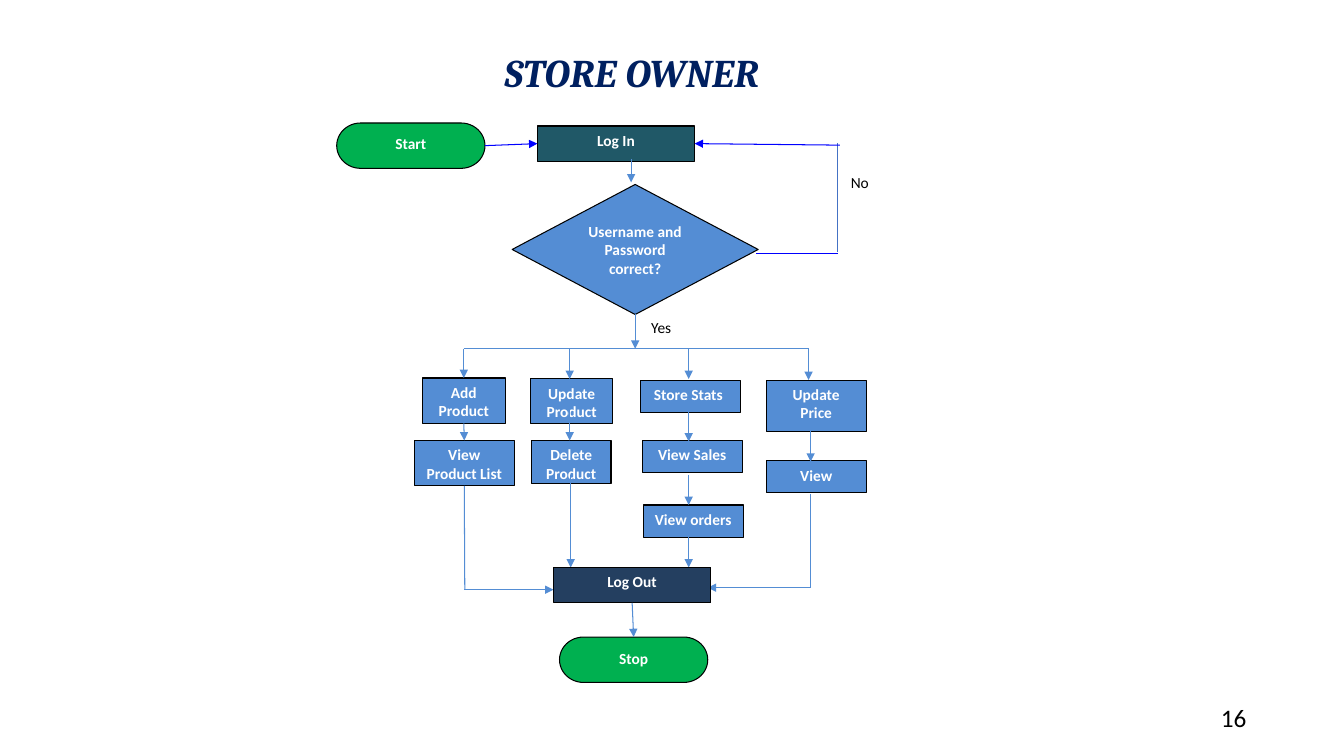
"""Builds the store owner flowchart slide."""
import pptx
import pptx.dml.color
import pptx.enum.shapes
import pptx.enum.text
import pptx.oxml.ns
import pptx.util
from lxml import etree

RGBColor = pptx.dml.color.RGBColor
Shape = pptx.enum.shapes.MSO_SHAPE
Align = pptx.enum.text.PP_ALIGN

BLUE = RGBColor(0x54, 0x8D, 0xD4)
LINK_BLUE = RGBColor(0x00, 0x00, 0xFF)
SIDE_BLUE = RGBColor(0x44, 0x72, 0xC4)
GREEN = RGBColor(0x00, 0xB0, 0x50)
TEAL = RGBColor(0x20, 0x58, 0x67)
NAVY = RGBColor(0x24, 0x3F, 0x60)
TITLE_NAVY = RGBColor(0x00, 0x20, 0x60)
BLACK = RGBColor(0, 0, 0)
WHITE = RGBColor(0xFF, 0xFF, 0xFF)

EMU_PER_PX = 9144
TOP, LEFT, BOTTOM, RIGHT = range(4)
BRANCH_Y = 346

STEPS = [
    ("Start", Shape.FLOWCHART_TERMINATOR, (334, 122, 147, 45), GREEN),
    ("Log In", Shape.FLOWCHART_PROCESS, (533, 125, 156, 35), TEAL),
    ("Username and Password correct?", Shape.DIAMOND, (508, 183, 244, 129), BLUE),
    ("Add Product", Shape.RECTANGLE, (419, 375, 82, 45), BLUE),
    ("View Product List", Shape.RECTANGLE, (411, 437, 99, 45), BLUE),
    ("Update Product", Shape.RECTANGLE, (526, 376, 82, 44), BLUE),
    ("Delete Product", Shape.RECTANGLE, (527, 437, 79, 43), BLUE),
    ("Store Stats ", Shape.RECTANGLE, (635, 377, 99, 32), BLUE),
    ("View Sales", Shape.RECTANGLE, (637, 437, 99, 32), BLUE),
    ("View orders", Shape.RECTANGLE, (638, 501, 99, 32), BLUE),
    ("Update Price", Shape.RECTANGLE, (760, 377, 99, 51), BLUE),
    ("View", Shape.RECTANGLE, (760, 457, 99, 32), BLUE),
    ("Stop", Shape.FLOWCHART_TERMINATOR, (555, 632, 147, 45), GREEN),
]
LOG_OUT = ("Log Out", Shape.FLOWCHART_PROCESS, (549, 563, 156, 35), NAVY)
LABELS = [("Yes", (636, 311, 45, 32)), ("No", (834, 167, 47, 41))]

FREE_ARROWS = [
    (565, BRANCH_Y, 565, 376), (683, BRANCH_Y, 683, 376), (802, BRANCH_Y, 802, 377),
    (565, 407, 565, 437), (683, 408, 683, 438), (683, 471, 683, 501),
    (804, 428, 804, 458), (460, 585, 549, 585), (804, 583, 702, 583),
    (683, 533, 683, 563), (566, 471, 566, 563), (626, 158, 626, 181),
]


def px(length):
    """Turn a length in px into EMU."""
    return pptx.util.Emu(length * EMU_PER_PX)


def place(shape, box):
    """Move and size a shape to a box in px."""
    shape.left, shape.top, shape.width, shape.height = map(px, box)


def write_text(shape, text, size=11, font="Calibri", color=WHITE, bold=False,
               italic=False, align=Align.LEFT, space_after=0):
    """Write one formatted paragraph into a shape, from its top."""
    frame = shape.text_frame
    frame.word_wrap = True
    frame.vertical_anchor = pptx.enum.text.MSO_ANCHOR.TOP
    paragraph = frame.paragraphs[0]
    paragraph.alignment = align
    paragraph.space_after = pptx.util.Pt(space_after)
    run = paragraph.add_run()
    run.text = text
    run.font.size = pptx.util.Pt(size)
    run.font.name = font
    run.font.color.rgb = color
    run.font.bold = bold
    run.font.italic = italic


def add_box(slide, kind, box, fill, outline):
    """Add a filled and outlined shape without a shadow."""
    shape = slide.shapes.add_shape(kind, *map(px, box))
    shape.shadow.inherit = False
    shape.fill.solid()
    shape.fill.fore_color.rgb = fill
    shape.line.color.rgb = outline
    shape.line.width = pptx.util.Pt(0.75)
    return shape


def add_step(slide, text, kind, box, fill):
    """Add a flowchart step with bold white text."""
    shape = add_box(slide, kind, box, fill, BLACK)
    write_text(shape, text, bold=True, align=Align.CENTER, space_after=10)
    return shape


def add_line(slide, ends, color=BLUE, width=0.75, arrow=False, begin=None, end=None):
    """Add a straight line, with an arrowhead or joined ends if asked for."""
    line = slide.shapes.add_connector(
        pptx.enum.shapes.MSO_CONNECTOR.STRAIGHT, *map(px, ends))
    line.line.color.rgb = color
    line.line.width = pptx.util.Pt(width)
    if arrow:
        outline = line.line._get_or_add_ln()
        etree.SubElement(outline, pptx.oxml.ns.qn("a:tailEnd"), type="triangle")
    etree.SubElement(line._element.spPr, pptx.oxml.ns.qn("a:effectLst"))
    if begin:
        line.begin_connect(*begin)
    if end:
        line.end_connect(*end)


def add_joined_lines(slide, steps):
    """Add the lines that join the middles of the steps' sides."""
    add_line(slide, (481, 144, 533, 142), LINK_BLUE, arrow=True,
             begin=(steps["Start"], RIGHT), end=(steps["Log In"], LEFT))
    add_line(slide, (833, 144, 689, 142), LINK_BLUE, arrow=True,
             end=(steps["Log In"], RIGHT))
    add_line(slide, (630, 312, 630, BRANCH_Y), arrow=True,
             begin=(steps["Username and Password correct?"], BOTTOM))
    add_line(slide, (460, BRANCH_Y, 460, 375), arrow=True,
             end=(steps["Add Product"], TOP))
    add_line(slide, (460, 420, 461, 437), arrow=True,
             begin=(steps["Add Product"], BOTTOM), end=(steps["View Product List"], TOP))
    add_line(slide, (461, 482, 461, 585), begin=(steps["View Product List"], BOTTOM))
    add_line(slide, (627, 598, 629, 632), arrow=True,
             begin=(steps["Log Out"], BOTTOM), end=(steps["Stop"], TOP))


def main():
    """Build the slide and save it."""
    presentation = pptx.Presentation()
    presentation.slide_width = px(1333)
    presentation.slide_height = px(750)
    slide = presentation.slides.add_slide(presentation.slide_layouts[5])

    title = slide.shapes.title
    place(title, (283, 43, 687, 57))
    write_text(title, "STORE OWNER", size=28, font="Cambria", color=TITLE_NAVY,
               bold=True, italic=True, align=Align.CENTER)

    steps = {step[0]: add_step(slide, *step) for step in STEPS}
    for text, box in LABELS:
        label = add_box(slide, Shape.RECTANGLE, box, WHITE, WHITE)
        write_text(label, text, color=BLACK, space_after=10)

    add_line(slide, (460, BRANCH_Y, 802, BRANCH_Y))
    add_line(slide, (804, 490, 804, 583))
    add_line(slide, (831, 250, 831, 142), SIDE_BLUE, width=0.5)
    add_line(slide, (750, 252, 831, 252), LINK_BLUE)
    for ends in FREE_ARROWS:
        add_line(slide, ends, arrow=True)
    steps["Log Out"] = add_step(slide, *LOG_OUT)
    add_joined_lines(slide, steps)

    page_number = slide.shapes.add_textbox(*map(px, (1201, 692, 105, 40)))
    write_text(page_number, "16", size=18, color=BLACK)
    presentation.save("out.pptx")


if __name__ == "__main__":
    main()
